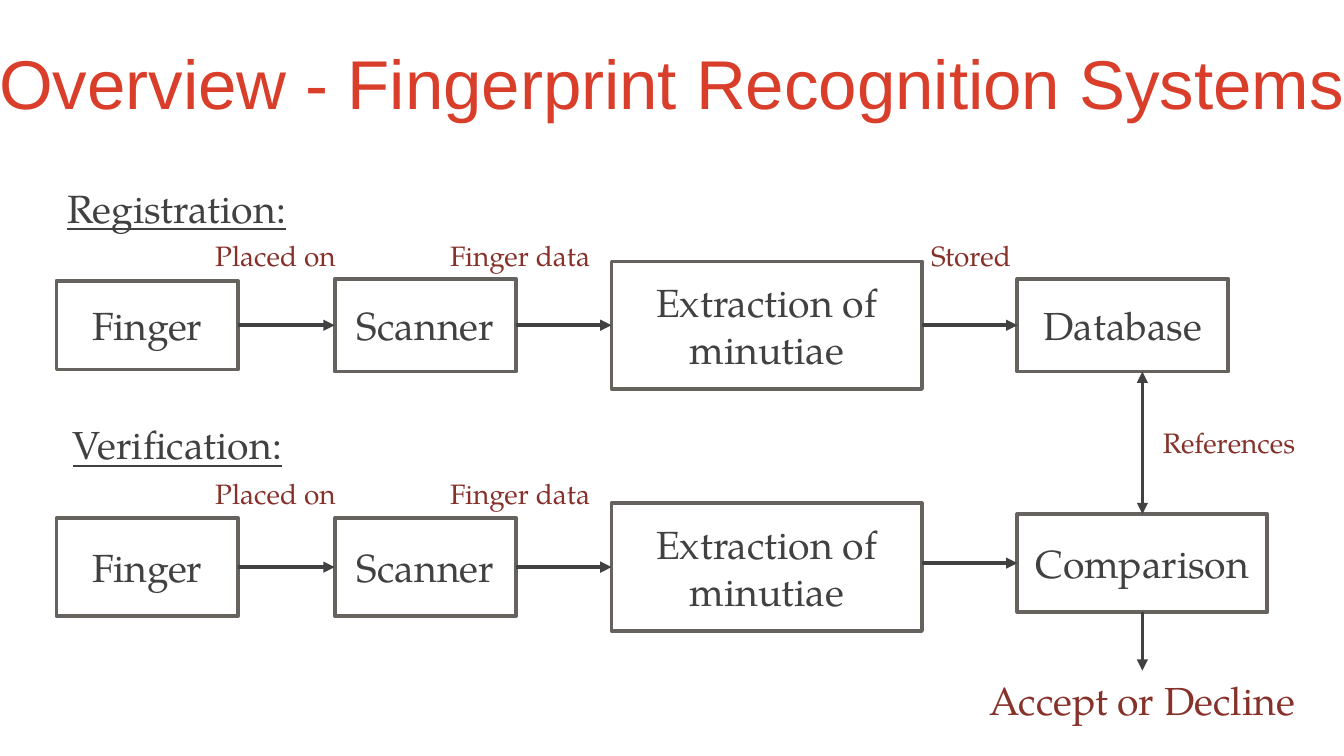
from dataclasses import dataclass
from typing import Optional

from lxml import etree
from pptx import Presentation
from pptx.dml.color import RGBColor
from pptx.enum import shapes, text
from pptx.oxml.ns import qn
from pptx.util import Inches, Pt


@dataclass(frozen=True)
class Theme:
    body_font: str = "TeX Gyre Pagella"
    title_font: str = "Arial"
    ink: str = "414141"
    border: str = "66635F"
    accent: str = "87312B"
    title: str = "D93E2B"
    title_size: float = 37
    body_size: float = 21
    label_size: float = 15
    line_width: float = 2
    inset: float = 0.04


@dataclass(frozen=True)
class Box:
    caption: str
    left: float
    mid: float
    width: float
    height: float

    @property
    def top(self) -> float:
        return self.mid - self.height / 2

    @property
    def right(self) -> float:
        return self.left + self.width

    @property
    def bottom(self) -> float:
        return self.mid + self.height / 2


@dataclass(frozen=True)
class Label:
    caption: str
    left: float
    top: float
    width: float
    height: float = 0.28
    size: float = Theme.label_size
    color: str = Theme.accent
    font: str = Theme.body_font
    underline: Optional[bool] = None
    spacing: Optional[float] = None
    wrap: bool = False


T = Theme()
TOP, LEFT, BOTTOM, RIGHT = range(4)


def write(sp, caption: str, size: float, color: str, font: str = T.body_font, wrap: bool = True):
    tf = sp.text_frame
    tf.word_wrap = wrap
    tf.vertical_anchor = text.MSO_ANCHOR.MIDDLE
    tf.margin_left = tf.margin_right = tf.margin_top = tf.margin_bottom = Inches(T.inset)
    p = tf.paragraphs[0]
    p.text = caption
    p.alignment = text.PP_ALIGN.CENTER
    p.font.name = font
    p.font.size = Pt(size)
    p.font.color.rgb = RGBColor.from_string(color)
    return p


def draw_box(s, box: Box):
    sp = s.shapes.add_shape(shapes.MSO_SHAPE.RECTANGLE, Inches(box.left), Inches(box.top),
                            Inches(box.width), Inches(box.height))
    sp.shadow.inherit = False
    sp.fill.background()
    sp.line.color.rgb = RGBColor.from_string(T.border)
    sp.line.width = Pt(T.line_width)
    write(sp, box.caption, T.body_size, T.ink)
    return sp


def draw_label(s, label: Label) -> None:
    sp = s.shapes.add_textbox(Inches(label.left), Inches(label.top),
                              Inches(label.width), Inches(label.height))
    p = write(sp, label.caption, label.size, label.color, label.font, label.wrap)
    p.font.underline = label.underline
    if label.spacing:
        p.line_spacing = label.spacing


def draw_arrow(s, x1: float, y1: float, x2: float, y2: float, both: bool = False):
    cn = s.shapes.add_connector(shapes.MSO_CONNECTOR.STRAIGHT, Inches(x1), Inches(y1),
                                Inches(x2), Inches(y2))
    cn.line.color.rgb = RGBColor.from_string(T.ink)
    cn.line.width = Pt(T.line_width)
    ln = cn.line._get_or_add_ln()
    for tag in (["a:headEnd"] if both else []) + ["a:tailEnd"]:
        etree.SubElement(ln, qn(tag), type="triangle")
    etree.SubElement(cn._element.spPr, qn("a:effectLst"))
    return cn


def draw_row(s, boxes: list[Box]) -> list:
    sps = [draw_box(s, box) for box in boxes]
    for i, (a, b) in enumerate(zip(boxes, boxes[1:])):
        cn = draw_arrow(s, a.right, b.mid, b.left, b.mid)
        if a.mid == b.mid:
            cn.begin_connect(sps[i], RIGHT)
        cn.end_connect(sps[i + 1], LEFT)
    return sps


def row(mid: float, finger_height: float, scanner_height: float, last: Box) -> list[Box]:
    return [Box("Finger", 0.42, mid, 1.35, finger_height),
            Box("Scanner", 2.49, mid, 1.35, scanner_height),
            Box("Extraction of minutiae", 4.55, mid, 2.31, 0.95),
            last]


def main() -> None:
    prs = Presentation()
    prs.slide_width = Inches(10)
    prs.slide_height = prs.slide_width * 9 // 16
    s = prs.slides.add_slide(prs.slide_layouts[6])

    database = Box("Database", 7.57, 2.42, 1.57, 0.69)
    comparison = Box("Comparison", 7.57, 4.19, 1.86, 0.73)
    draw_row(s, row(2.42, 0.66, 0.69, database))
    comparison_sp = draw_row(s, row(4.22, 0.73, 0.73, comparison))[-1]

    x = comparison.left + comparison.width / 2
    references = draw_arrow(s, x, database.bottom, x, comparison.top, both=True)
    references.end_connect(comparison_sp, TOP)
    result = draw_arrow(s, x, comparison.bottom, x, 4.99)
    result.begin_connect(comparison_sp, BOTTOM)

    labels = [
        Label("Overview - Fingerprint Recognition Systems", -0.09, 0.3, 10.18, 0.7,
              T.title_size, T.title, T.title_font, spacing=0.9, wrap=True),
        Label("Registration:", 0.39, 1.36, 1.85, 0.37, T.body_size, T.ink, underline=True),
        Label("Verification:", 0.44, 3.12, 1.76, 0.37, T.body_size, T.ink, underline=True),
        Label("Stored", 6.86, 1.76, 0.73),
        Label("References", 8.57, 3.15, 1.15),
        Label("Accept or Decline", 7.23, 5.02, 2.54, 0.37, T.body_size),
    ]
    for top in (1.76, 3.53):
        labels += [Label("Placed on", 1.52, top, 1.06), Label("Finger data", 3.26, top, 1.22)]
    for label in labels:
        draw_label(s, label)

    prs.save("out.pptx")


if __name__ == "__main__":
    main()
